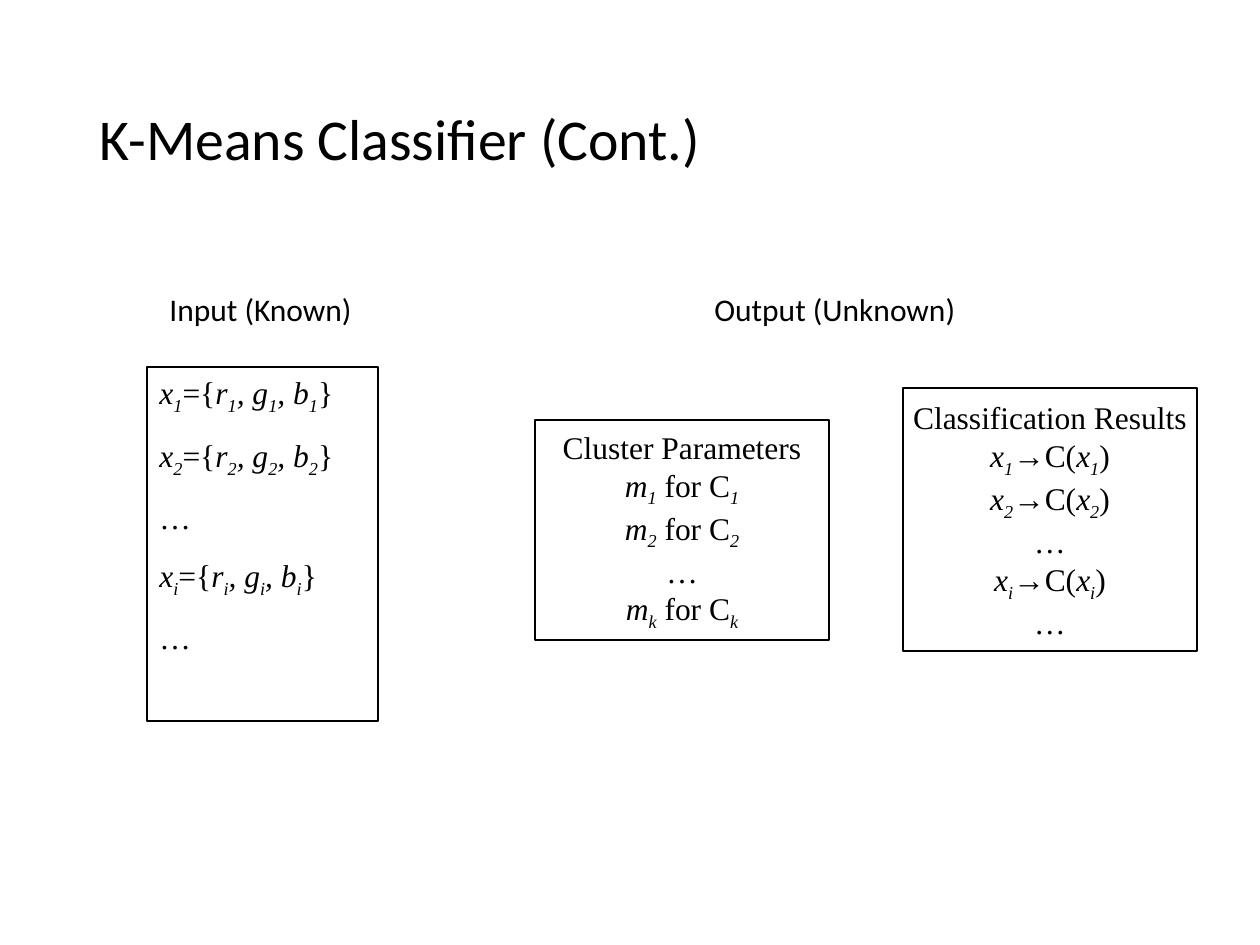
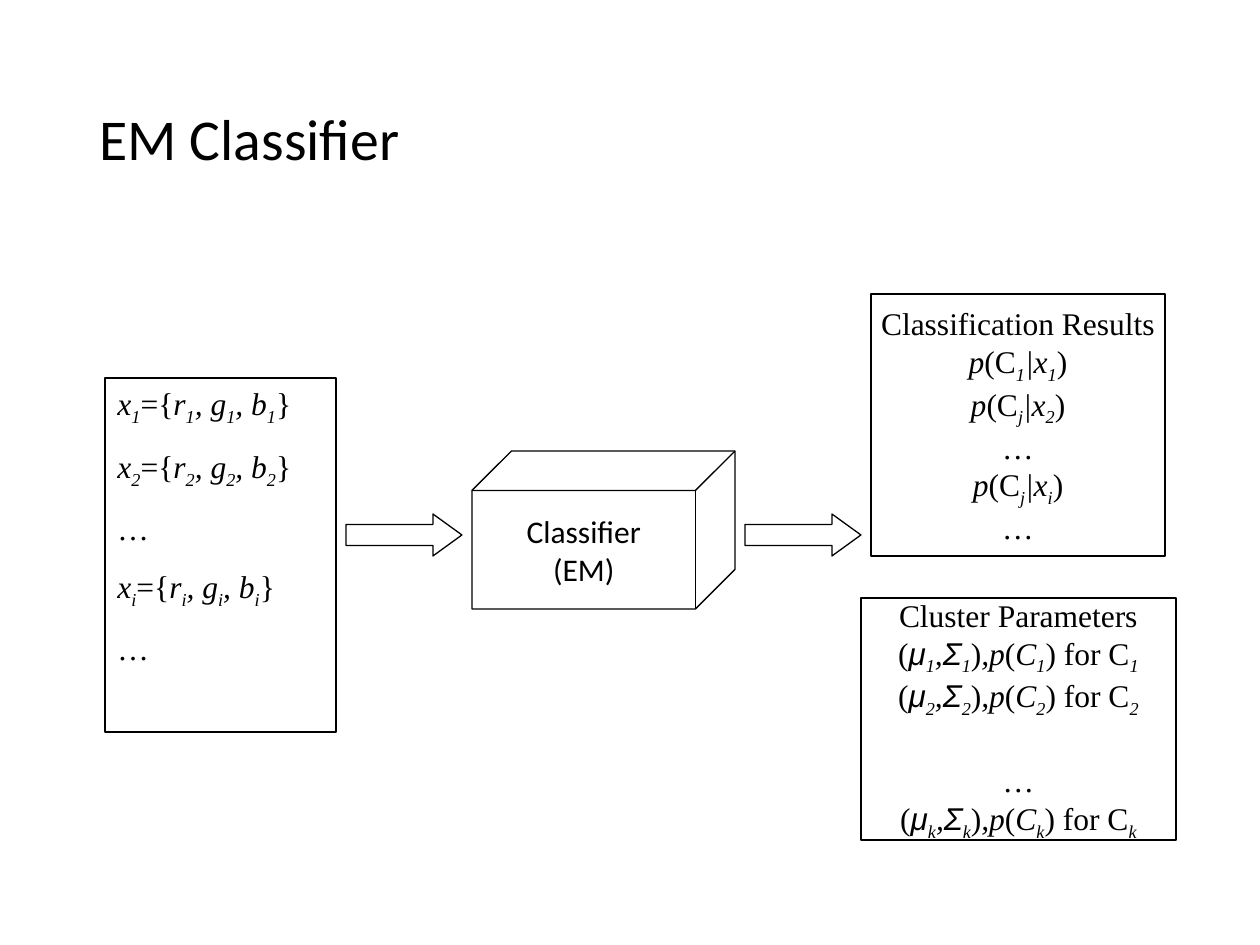
import itertools
import pptx
import pptx.dml.color
import pptx.enum.shapes
import pptx.enum.text
import pptx.util

PIXEL = 914400 // 126
COLORS = {"ink": "000000", "paper": "FFFFFF"}
SANS, SERIF, SYMBOL = "Calibri", "Times New Roman", "Arial"
SYMBOLS = "→μΣ"
SHAPE = pptx.enum.shapes.MSO_SHAPE
ALIGN = pptx.enum.text.PP_ALIGN
ANCHOR = pptx.enum.text.MSO_ANCHOR
VECTORS = [f"*x*_{n}={{*r*_{n}*, g*_{n}*, b*_{n}}}" for n in "12i"]
INPUT_LINES = VECTORS[:2] + ["…", VECTORS[2], "…"]


def emu(*pixels):
    return [pptx.util.Emu(value * PIXEL) for value in pixels]


def color(name):
    return pptx.dml.color.RGBColor.from_string(COLORS[name])


def styled_characters(markup):
    """An asterisk switches italics; an underscore lowers the next character."""
    italic = lowered = False
    for character in markup:
        if character == "*":
            italic = not italic
        elif character == "_":
            lowered = True
        else:
            yield character, (italic or lowered, lowered, character in SYMBOLS)
            lowered = False


def add_runs(paragraph, markup):
    groups = itertools.groupby(styled_characters(markup), key=lambda pair: pair[1])
    for (italic, lowered, symbol), pairs in groups:
        run = paragraph.add_run()
        run.text = "".join(character for character, _ in pairs)
        if italic:
            run.font.italic = True
        if symbol:
            run.font.name = SYMBOL
        if lowered:
            run.font._element.set("baseline", "-25000")


def write(shape, lines, font=SERIF, size=18, align=ALIGN.CENTER,
          anchor=ANCHOR.MIDDLE, wrap=False, before=0):
    frame = shape.text_frame
    frame.word_wrap = wrap
    frame.vertical_anchor = anchor
    for index, line in enumerate(lines):
        paragraph = frame.paragraphs[0] if index == 0 else frame.add_paragraph()
        paragraph.alignment = align
        paragraph.space_before = pptx.util.Pt(before)
        paragraph.font.name = font
        paragraph.font.size = pptx.util.Pt(size)
        paragraph.font.color.rgb = color("ink")
        add_runs(paragraph, line)
    return frame


def add_outline(slide, kind, place):
    shape = slide.shapes.add_shape(kind, *emu(*place))
    shape.shadow.inherit = False
    shape.fill.background()
    shape.line.color.rgb = color("ink")
    shape.line.width = pptx.util.Pt(0.74)
    return shape


def add_box(slide, place, lines):
    return write(add_outline(slide, SHAPE.RECTANGLE, place), lines)


def add_input(slide, left, top):
    shape = add_outline(slide, SHAPE.RECTANGLE, (left, top, 231, 354))
    write(shape, INPUT_LINES, align=ALIGN.LEFT, anchor=ANCHOR.TOP,
          wrap=True, before=11.2)


def add_arrow(slide, left):
    arrow = add_outline(slide, SHAPE.RIGHT_ARROW, (left, 514, 116, 42))
    arrow.adjustments[1] = 0.69


def add_label(slide, place, text):
    write(slide.shapes.add_textbox(*emu(*place)), [text], font=SANS,
          align=ALIGN.LEFT, anchor=ANCHOR.TOP)


def add_titled_slide(presentation, title):
    slide = presentation.slides.add_slide(presentation.slide_layouts[6])
    slide.background.fill.solid()
    slide.background.fill.fore_color.rgb = color("paper")
    frame = write(slide.shapes.add_textbox(*emu(87, 50, 1087, 183)), [title],
                  font=SANS, size=33, align=ALIGN.LEFT, wrap=True)
    frame.paragraphs[0].line_spacing = 0.9
    return slide


def build_k_means(presentation):
    slide = add_titled_slide(presentation, "K-Means Classifier (Cont.)")
    add_input(slide, 147, 367)
    results = [f"*x*_{n}→C(*x*_{n})" for n in "12i"]
    add_box(slide, (903, 388, 294, 263),
            ["Classification Results", *results[:2], "…", results[2], "…"])
    means = [f"*m*_{n} for C_{n}" for n in "12k"]
    add_box(slide, (535, 420, 294, 220),
            ["Cluster Parameters", *means[:2], "…", means[2]])
    add_label(slide, (157, 284, 208, 50), "Input (Known)")
    add_label(slide, (702, 284, 266, 50), "Output (Unknown)")


def build_em(presentation):
    slide = add_titled_slide(presentation, "EM Classifier")
    cube = add_outline(slide, SHAPE.CUBE, (472, 451, 263, 158))
    write(cube, ["Classifier", "(EM)"], font=SANS)
    add_input(slide, 105, 378)
    add_arrow(slide, 346)
    add_arrow(slide, 745)
    results = [f"*p*(C_{c}*|x*_{n})" for c, n in ("11", "j2", "ji")]
    add_box(slide, (871, 294, 294, 262),
            ["Classification Results", *results[:2], "…", results[2], "…"])
    clusters = [f"(*μ*_{n}*,Σ*_{n})*,p*(*C*_{n}) for C_{n}" for n in "12k"]
    frame = add_box(slide, (861, 598, 315, 242),
                    ["Cluster Parameters", *clusters[:2], "…", clusters[2]])
    frame.paragraphs[3].space_before = pptx.util.Pt(24)


def main():
    presentation = pptx.Presentation()
    presentation.slide_width, presentation.slide_height = emu(1260, 945)
    build_k_means(presentation)
    build_em(presentation)
    presentation.save("out.pptx")


main()
